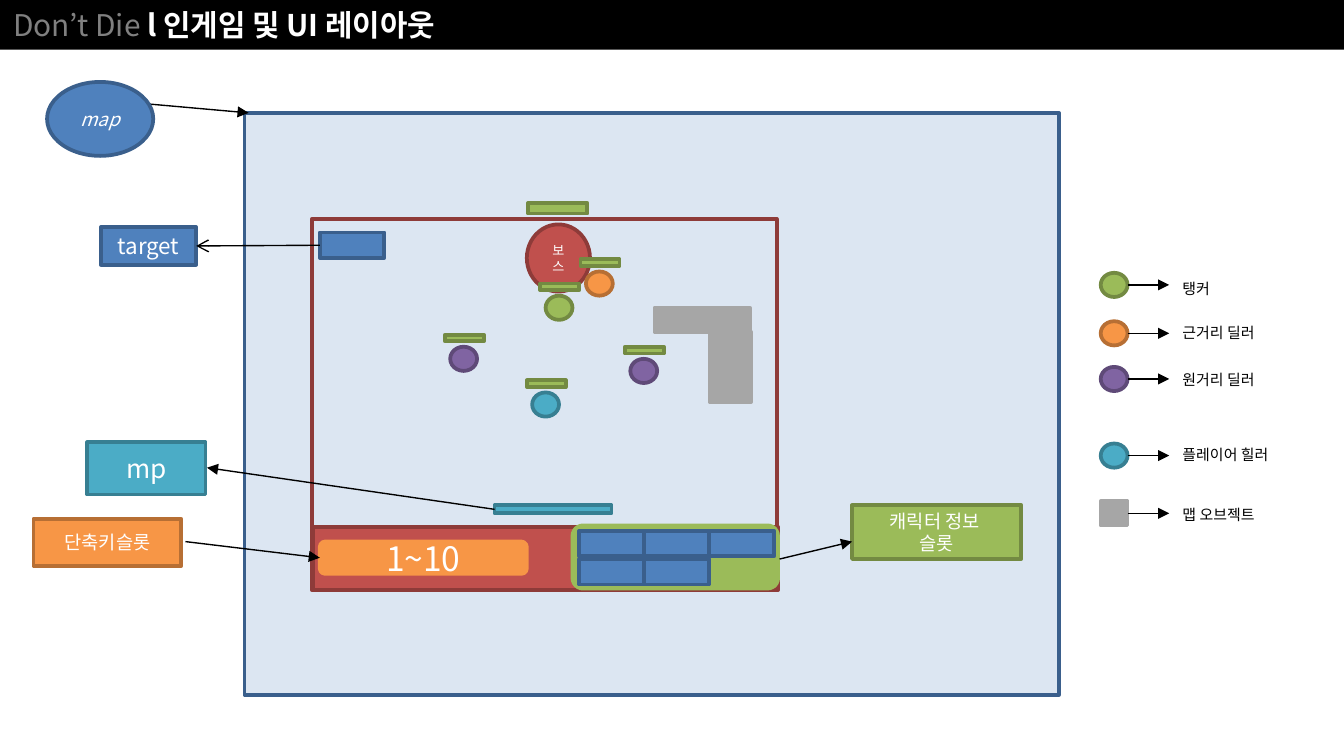
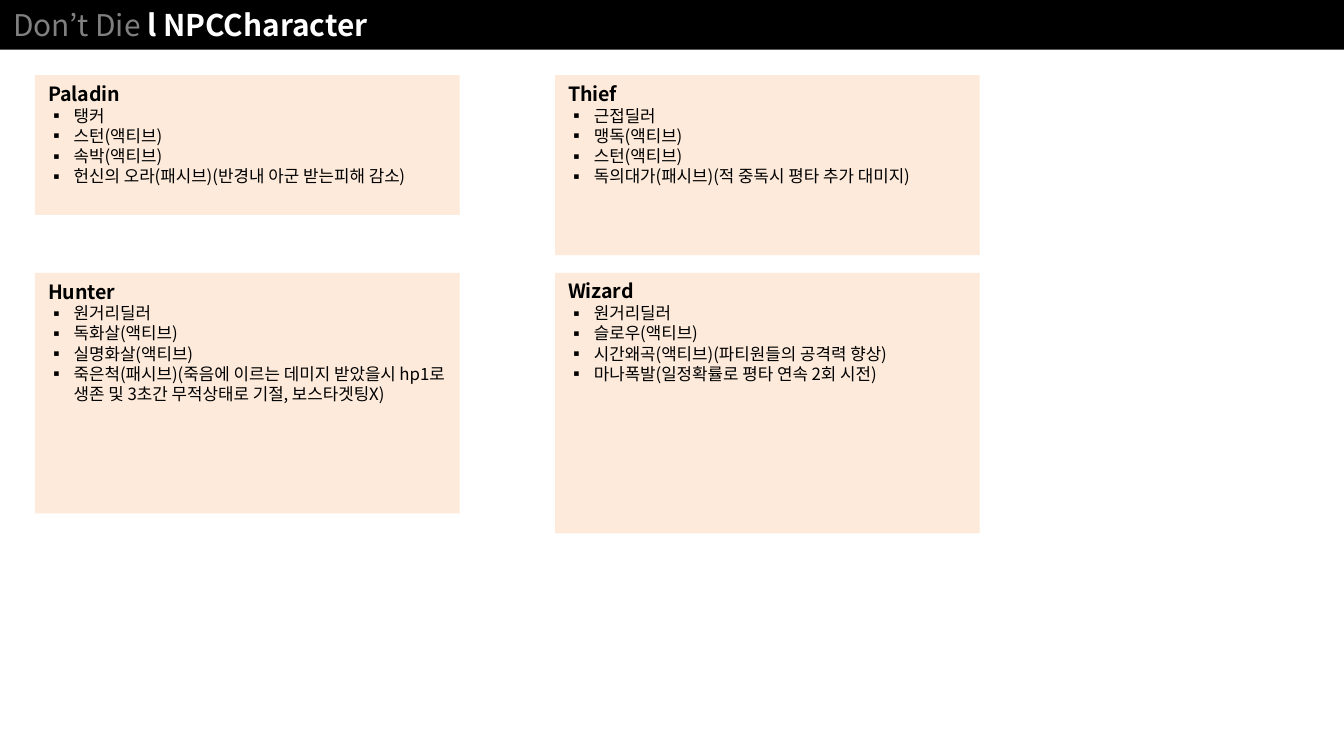
"""Build the in-game layout slide and the NPC character slide."""
from lxml.etree import SubElement
from pptx import Presentation
from pptx.dml.color import RGBColor
from pptx.enum.shapes import MSO_CONNECTOR, MSO_SHAPE
from pptx.enum.text import MSO_ANCHOR, PP_ALIGN
from pptx.oxml.ns import qn
from pptx.util import Inches, Pt

FONT = "Noto Sans CJK KR"
BLACK = RGBColor(0x00, 0x00, 0x00)
WHITE = RGBColor(0xFF, 0xFF, 0xFF)
TITLE_GRAY = RGBColor(0x80, 0x80, 0x80)
PEACH = RGBColor(0xFD, 0xEA, 0xDA)
PALE_BLUE = RGBColor(0xDC, 0xE6, 0xF2)
GRAY = RGBColor(0xA6, 0xA6, 0xA6)
BLUE = RGBColor(0x4F, 0x81, 0xBD)
RED = RGBColor(0xC0, 0x50, 0x4D)
GREEN = RGBColor(0x9B, 0xBB, 0x59)
PURPLE = RGBColor(0x80, 0x64, 0xA2)
TEAL = RGBColor(0x4B, 0xAC, 0xC6)
ORANGE = RGBColor(0xF7, 0x96, 0x46)
DARK_BLUE = RGBColor(0x3A, 0x5F, 0x8C)
DARK_RED = RGBColor(0x8E, 0x3B, 0x39)
OUTLINES = {
    BLUE: DARK_BLUE,
    RED: DARK_RED,
    GREEN: RGBColor(0x73, 0x8A, 0x42),
    PURPLE: RGBColor(0x5F, 0x4A, 0x78),
    TEAL: RGBColor(0x37, 0x7F, 0x92),
    ORANGE: RGBColor(0xB7, 0x6F, 0x34),
    GRAY: GRAY,
}

RECTANGLE, OVAL, ROUNDED = MSO_SHAPE.RECTANGLE, MSO_SHAPE.OVAL, MSO_SHAPE.ROUNDED_RECTANGLE
LEFT_SIDE, RIGHT_SIDE = 1, 3

GAME_NAME = "Don’t Die "
LAYOUT_TITLE = "l 인게임 및 UI 레이아웃"
NPC_TITLE = "l NPCCharacter"

UNITS = [
    (4.06, 2.2, GREEN),
    (4.36, 2.02, ORANGE),
    (3.35, 2.58, PURPLE),
    (4.69, 2.67, PURPLE),
    (3.96, 2.92, TEAL),
]
UNIT_SIZE = (0.2, 0.18)
HEALTH_BAR_SIZE = (0.29, 0.05)

LEGEND = [
    (2.03, 2.03, OVAL, GREEN, "탱커"),
    (2.39, 2.36, OVAL, ORANGE, "근거리 딜러"),
    (2.73, 2.71, OVAL, PURPLE, "원거리 딜러"),
    (3.3, 3.27, OVAL, TEAL, "플레이어 힐러"),
    (3.73, 3.71, RECTANGLE, GRAY, "맵 오브젝트"),
]
LEGEND_LEFT, LEGEND_TEXT_LEFT = 8.19, 8.7

SLOT_SIZE = (0.48, 0.19)
SLOT_ROWS = [3, 2]

CARD_WIDTH = 3.16
CARDS = [
    (0.26, 0.56, 1.04, "Paladin",
     ["탱커", "스턴(액티브)", "속박(액티브)", "헌신의 오라(패시브)(반경내 아군 받는피해 감소)"]),
    (4.13, 0.56, 1.34, "Thief",
     ["근접딜러", "맹독(액티브)", "스턴(액티브)", "독의대가(패시브)(적 중독시 평타 추가 대미지)"]),
    (0.26, 2.03, 1.79, "Hunter",
     ["원거리딜러", "독화살(액티브)", "실명화살(액티브)",
      "죽은척(패시브)(죽음에 이르는 데미지 받았을시 hp1로 생존 및 3초간 무적상태로 기절, 보스타겟팅X)"]),
    (4.13, 2.03, 1.94, "Wizard",
     ["원거리딜러", "슬로우(액티브)", "시간왜곡(액티브)(파티원들의 공격력 향상)",
      "마나폭발(일정확률로 평타 연속 2회 시전)"]),
]


def style_paragraph(paragraph, size, color, align=PP_ALIGN.LEFT, bold=False, italic=False):
    paragraph.alignment = align
    font = paragraph.font
    font.name, font.size, font.bold, font.italic = FONT, Pt(size), bold, italic
    font.color.rgb = color
    properties = paragraph._p.get_or_add_pPr().get_or_add_defRPr()
    SubElement(properties, qn("a:ea"), typeface=FONT)


def add_bullet(paragraph):
    properties = paragraph._p.get_or_add_pPr()
    properties.set("marL", str(Inches(0.19)))
    properties.set("indent", str(Inches(-0.19)))
    SubElement(properties, qn("a:buFont"), typeface=FONT)
    SubElement(properties, qn("a:buChar"), char="▪")


def add_box(slide, kind, box, fill, line=None, lines=(), size=10, italic=False):
    shape = slide.shapes.add_shape(kind, *map(Inches, box))
    shape.shadow.inherit = False
    shape.fill.solid()
    shape.fill.fore_color.rgb = fill
    if line is None:
        shape.line.fill.background()
    else:
        shape.line.color.rgb = line
        shape.line.width = Pt(2)
    if lines:
        shape.text_frame.text = "\n".join(lines)
        for paragraph in shape.text_frame.paragraphs:
            style_paragraph(paragraph, size, WHITE, PP_ALIGN.CENTER, italic=italic)
    return shape


def add_part(slide, kind, box, fill, *lines, size=10, italic=False):
    return add_box(slide, kind, box, fill, OUTLINES[fill], lines, size, italic)


def add_arrow(slide, start, end, begin_shape=None, end_shape=None,
              sides=(RIGHT_SIDE, LEFT_SIDE), head="triangle"):
    connector = slide.shapes.add_connector(
        MSO_CONNECTOR.STRAIGHT, *map(Inches, (*start, *end)))
    connector.line.color.rgb = BLACK
    connector.line.width = Pt(0.75)
    if begin_shape is not None:
        connector.begin_connect(begin_shape, sides[0])
    if end_shape is not None:
        connector.end_connect(end_shape, sides[1])
    SubElement(connector.line._get_or_add_ln(), qn("a:tailEnd"), type=head)
    SubElement(connector._element.spPr, qn("a:effectLst"))


def add_title_slide(presentation, title):
    slide = presentation.slides.add_slide(presentation.slide_layouts[6])
    band = add_box(slide, RECTANGLE, (0, 0, 10, 0.37), BLACK)
    paragraph = band.text_frame.paragraphs[0]
    style_paragraph(paragraph, 16, WHITE)
    for text, color, bold in ((GAME_NAME, TITLE_GRAY, False), (title, WHITE, True)):
        run = paragraph.add_run()
        run.text = text
        run.font.color.rgb = color
        run.font.bold = bold
    return slide


def add_legend(slide):
    width, height = UNIT_SIZE
    for top, text_top, kind, color, label in LEGEND:
        marker = add_part(slide, kind, (LEGEND_LEFT, top, width, height), color)
        middle = top + height / 2
        add_arrow(slide, (LEGEND_LEFT + width, middle), (LEGEND_TEXT_LEFT, middle),
                  marker if kind == RECTANGLE else None)
        box = slide.shapes.add_textbox(*map(Inches, (LEGEND_TEXT_LEFT, text_top, 1.1, 0.24)))
        box.text_frame.word_wrap = True
        box.text_frame.text = label
        style_paragraph(box.text_frame.paragraphs[0], 8, BLACK)


def add_battlefield(slide):
    add_box(slide, RECTANGLE, (1.82, 0.84, 6.06, 4.33), PALE_BLUE, DARK_BLUE)
    add_arrow(slide, (1.06, 0.77), (1.85, 0.84))
    add_part(slide, OVAL, (0.35, 0.61, 0.79, 0.55), BLUE, "map", italic=True)
    add_box(slide, RECTANGLE, (2.32, 1.63, 3.46, 2.76), PALE_BLUE, DARK_RED)
    add_part(slide, OVAL, (3.92, 1.67, 0.47, 0.5), RED, "보스", size=7)
    add_part(slide, RECTANGLE, (3.93, 1.51, 0.44, 0.08), GREEN)
    for left, top, color in UNITS:
        add_part(slide, OVAL, (left, top, *UNIT_SIZE), color)
    for left, top, _ in UNITS:
        add_part(slide, RECTANGLE, (left - 0.04, top - 0.09, *HEALTH_BAR_SIZE), GREEN)
    for box in ((4.87, 2.29, 0.71, 0.18), (5.28, 2.47, 0.31, 0.52)):
        add_part(slide, RECTANGLE, box, GRAY)


def add_interface(slide):
    add_part(slide, RECTANGLE, (2.33, 3.92, 3.46, 0.47), RED)
    add_box(slide, ROUNDED, (4.26, 3.91, 1.53, 0.47), GREEN, GREEN)
    for row, count in enumerate(SLOT_ROWS):
        for column in range(count):
            add_part(slide, RECTANGLE,
                     (4.31 + column * 0.485, 3.95 + row * 0.21, *SLOT_SIZE), BLUE)
    hotkeys = add_box(slide, ROUNDED, (2.38, 4.03, 1.54, 0.24), ORANGE, ORANGE, ["1~10"], 18)
    target_frame = add_part(slide, RECTANGLE, (2.38, 1.73, *SLOT_SIZE), BLUE)
    mana_bar = add_part(slide, RECTANGLE, (3.68, 3.76, 0.87, 0.06), TEAL)

    target = add_part(slide, RECTANGLE, (0.75, 1.69, 0.71, 0.28), BLUE, "target", size=12)
    add_part(slide, RECTANGLE, (0.65, 3.29, 0.88, 0.39), TEAL, "mp", size=14)
    add_part(slide, RECTANGLE, (0.25, 3.86, 1.1, 0.35), ORANGE, "단축키슬롯")
    add_part(slide, RECTANGLE, (6.34, 3.76, 1.26, 0.4), GREEN, "캐릭터 정보 ", "슬롯")

    add_arrow(slide, (2.38, 1.83), (1.46, 1.83), target_frame, target,
              (LEFT_SIDE, RIGHT_SIDE), "arrow")
    add_arrow(slide, (3.68, 3.79), (1.54, 3.48), mana_bar, sides=(LEFT_SIDE, RIGHT_SIDE))
    add_arrow(slide, (1.38, 4.03), (2.38, 4.15), end_shape=hotkeys)
    add_arrow(slide, (5.8, 4.16), (6.34, 4.03))


def add_card(slide, left, top, height, name, skills):
    card = add_box(slide, RECTANGLE, (left, top, CARD_WIDTH, height), PEACH)
    frame = card.text_frame
    frame.vertical_anchor = MSO_ANCHOR.TOP
    frame.text = "\n".join([name, *skills])
    heading, *bullets = frame.paragraphs
    style_paragraph(heading, 10.5, BLACK, bold=True)
    for paragraph in bullets:
        add_bullet(paragraph)
        style_paragraph(paragraph, 9, BLACK)


def main():
    presentation = Presentation()
    presentation.slide_width = Inches(10)
    presentation.slide_height = Inches(10 * 9 / 16)
    layout_slide = add_title_slide(presentation, LAYOUT_TITLE)
    add_battlefield(layout_slide)
    add_interface(layout_slide)
    add_legend(layout_slide)
    npc_slide = add_title_slide(presentation, NPC_TITLE)
    for card in CARDS:
        add_card(npc_slide, *card)
    presentation.save("out.pptx")


if __name__ == "__main__":
    main()
